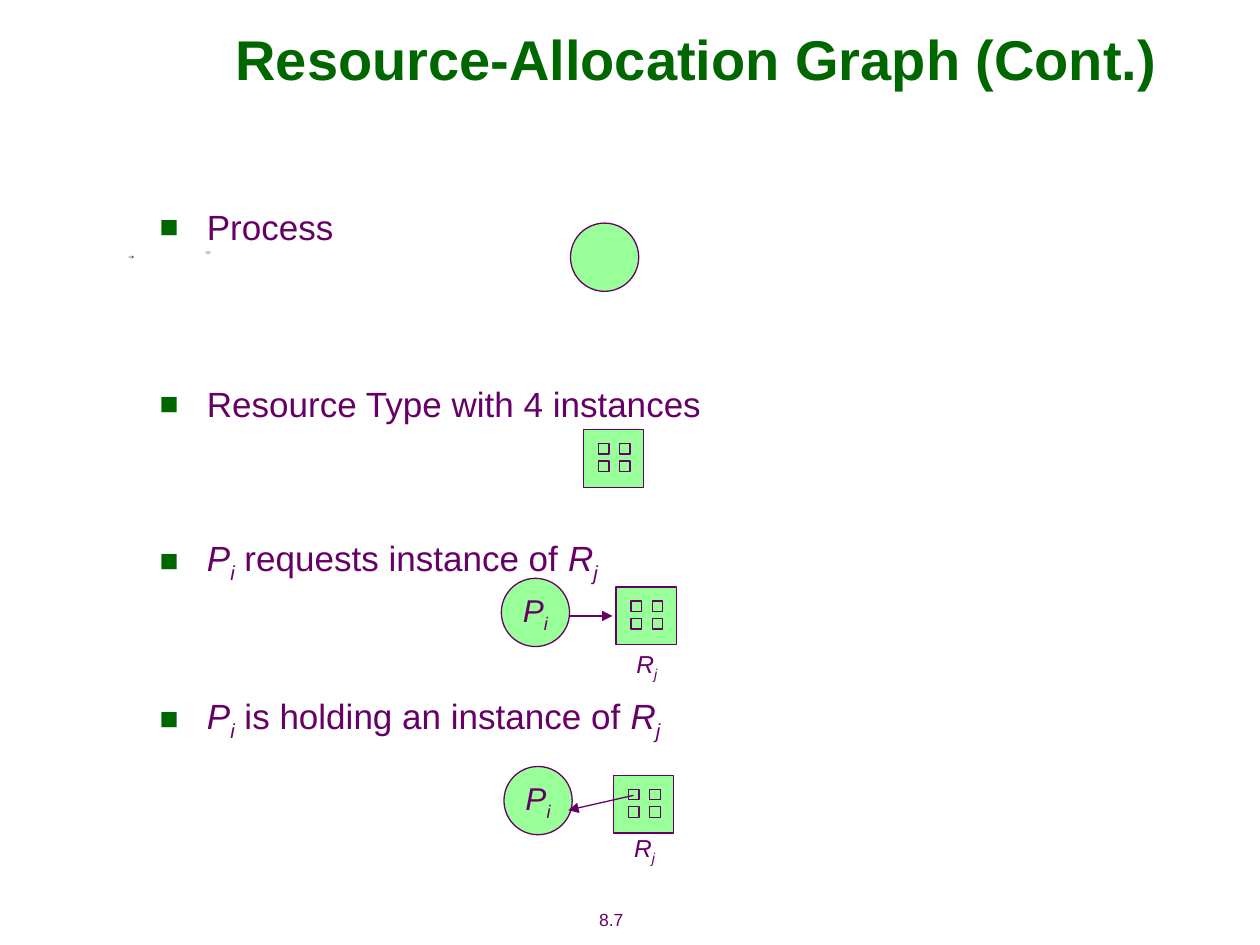
import pptx
import pptx.util
import pptx.dml.color
import pptx.enum.shapes
import pptx.enum.text
import pptx.oxml.ns
import lxml.etree

Pt = pptx.util.Pt
RGB = pptx.dml.color.RGBColor
KIND = pptx.enum.shapes.MSO_SHAPE
ALIGN = pptx.enum.text.PP_ALIGN
MID = pptx.enum.text.MSO_ANCHOR.MIDDLE
FIT = pptx.enum.text.MSO_AUTO_SIZE

GREEN = RGB(0x00, 0x66, 0x00)
PURPLE = RGB(0x66, 0x00, 0x66)
MINT = RGB(0x99, 0xFF, 0x99)
NAVY = RGB(0x28, 0x4C, 0x70)
GREY = RGB(0xBF, 0xCC, 0xD8)

DISC = 39
BOX_W, BOX_H = 34.5, 33
TAG_W, TAG_H = 44, 26.6

# Run styles: plain, italic, italic subscript
PLAIN, ITALIC, SUB = range(3)
PROC = [("P", ITALIC), ("i", SUB)]
RES = [("R", ITALIC), ("j", SUB)]


def place(item, left, top, width, height):
    item.left, item.top = Pt(left), Pt(top)
    item.width, item.height = Pt(width), Pt(height)


def add_tag(parent, name, **attrs):
    return lxml.etree.SubElement(parent, pptx.oxml.ns.qn(name), attrs)


def write(para, parts, size, color=PURPLE):
    for text, style in parts:
        run = para.add_run()
        run.text = text
        font = run.font
        font.name, font.size = "Arial", Pt(size)
        font.color.rgb = color
        font.italic = style != PLAIN
        if style == SUB:
            run._r.get_or_add_rPr().set("baseline", "-25000")


def center(frame, parts, size):
    frame.word_wrap = False
    frame.vertical_anchor = MID
    para = frame.paragraphs[0]
    para.alignment = ALIGN.CENTER
    write(para, parts, size)


def add_shape(shapes, kind, left, top, width, height, fill=MINT, line=PURPLE):
    item = shapes.add_shape(kind, Pt(left), Pt(top), Pt(width), Pt(height))
    item.shadow.inherit = False
    item.fill.solid()
    item.fill.fore_color.rgb = fill
    if line is None:
        item.line.fill.background()
    else:
        item.line.color.rgb = line
        item.line.width = Pt(0.75)
    return item


def add_label(slide, left, top, width, height, parts, size):
    label = slide.shapes.add_textbox(Pt(left), Pt(top), Pt(width), Pt(height))
    center(label.text_frame, parts, size)


def add_arrow(slide, start, end):
    arrow = slide.shapes.add_connector(
        pptx.enum.shapes.MSO_CONNECTOR.STRAIGHT, *map(Pt, start + end))
    arrow.line.color.rgb = PURPLE
    arrow.line.width = Pt(0.75)
    add_tag(arrow.line._get_or_add_ln(), "a:tailEnd", type="triangle")
    add_tag(arrow._element.spPr, "a:effectLst")


def add_title(slide, left, top, width, height):
    title = slide.shapes.title
    place(title, left, top, width, height)
    frame = title.text_frame
    frame.text = "Resource-Allocation Graph (Cont.)"
    frame.auto_size = FIT.NONE
    frame.vertical_anchor = MID
    para = frame.paragraphs[0]
    para.alignment = ALIGN.CENTER
    font = para.runs[0].font
    font.name, font.size, font.bold = "Arial", Pt(32), True
    font.color.rgb = GREEN


def add_list(slide, left, top, width, height):
    body = slide.placeholders[1]
    place(body, left, top, width, height)
    frame = body.text_frame
    frame.auto_size = FIT.NONE
    items = [
        (0, [("Process", PLAIN)]),
        (77, [("Resource Type with 4 instances", PLAIN)]),
        (64, PROC + [(" requests instance of ", PLAIN)] + RES),
        (63, PROC + [(" is holding an instance of ", PLAIN)] + RES),
    ]
    for num, (gap, parts) in enumerate(items):
        para = frame.add_paragraph() if num else frame.paragraphs[0]
        para.space_before = Pt(gap)
        props = para._p.get_or_add_pPr()
        props.set("marL", str(Pt(27)))
        props.set("indent", str(Pt(-27)))
        add_tag(add_tag(props, "a:buClr"), "a:srgbClr", val=str(GREEN))
        add_tag(props, "a:buSzPct", val="90000")
        add_tag(props, "a:buFont", typeface="Arial")
        add_tag(props, "a:buChar", char="■")
        write(para, parts, 20)


def add_disc(slide, left, top, parts=()):
    disc = add_shape(slide.shapes, KIND.OVAL, left, top, DISC, DISC)
    center(disc.text_frame, parts, 18)


def add_res(slide, left, top):
    group = slide.shapes.add_group_shape().shapes
    add_shape(group, KIND.RECTANGLE, left, top, BOX_W, BOX_H)
    for row in range(2):
        for col in range(2):
            add_shape(group, KIND.RECTANGLE, left + 8.6 + 12.1 * col,
                      top + 8 + 10 * row, 6, 6)


def add_pair(slide, left, top, gap, drop, start, end):
    """Process and resource joined by an arrow, with ends relative to the pair."""
    add_disc(slide, left, top, PROC)
    box = left + DISC + gap
    add_res(slide, box, top + 5)
    add_arrow(slide, (left + start[0], top + start[1]),
              (left + end[0], top + end[1]))
    add_label(slide, box + 17.7 - TAG_W / 2, top + drop, TAG_W, TAG_H, RES, 14)


def add_specks(slide, left, top):
    for x, y, width, height, fill in [(0.4, 2.9, 2.6, 1.4, NAVY),
                                      (0, 2.9, 2.2, 1.4, GREY),
                                      (44, 0, 3, 2, GREY)]:
        add_shape(slide.shapes, KIND.OVAL, left + x, top + y,
                  width, height, fill, None)


def main():
    deck = pptx.Presentation()
    deck.slide_width, deck.slide_height = Pt(720), Pt(540)
    slide = deck.slides.add_slide(deck.slide_layouts[1])

    # Page number and margin specks
    add_label(slide, 315.5, 515.5, 67.5, 19.5, [("8.7", PLAIN)], 10)
    add_specks(slide, 73.4, 143.3)

    # Title and list
    add_title(slide, 92, 0, 612, 66)
    add_list(slide, 84, 113.8, 554, 324)

    # Symbols beside the list
    add_disc(slide, 326, 127.5)
    add_res(slide, 333.4, 245.5)
    add_pair(slide, 286.5, 330.5, 26.5, 36.7, (39.5, 21.5), (63.5, 21.5))
    add_pair(slide, 288, 438, 23.6, 34.3, (74, 16.5), (36.7, 25))

    deck.save("out.pptx")


if __name__ == "__main__":
    main()
